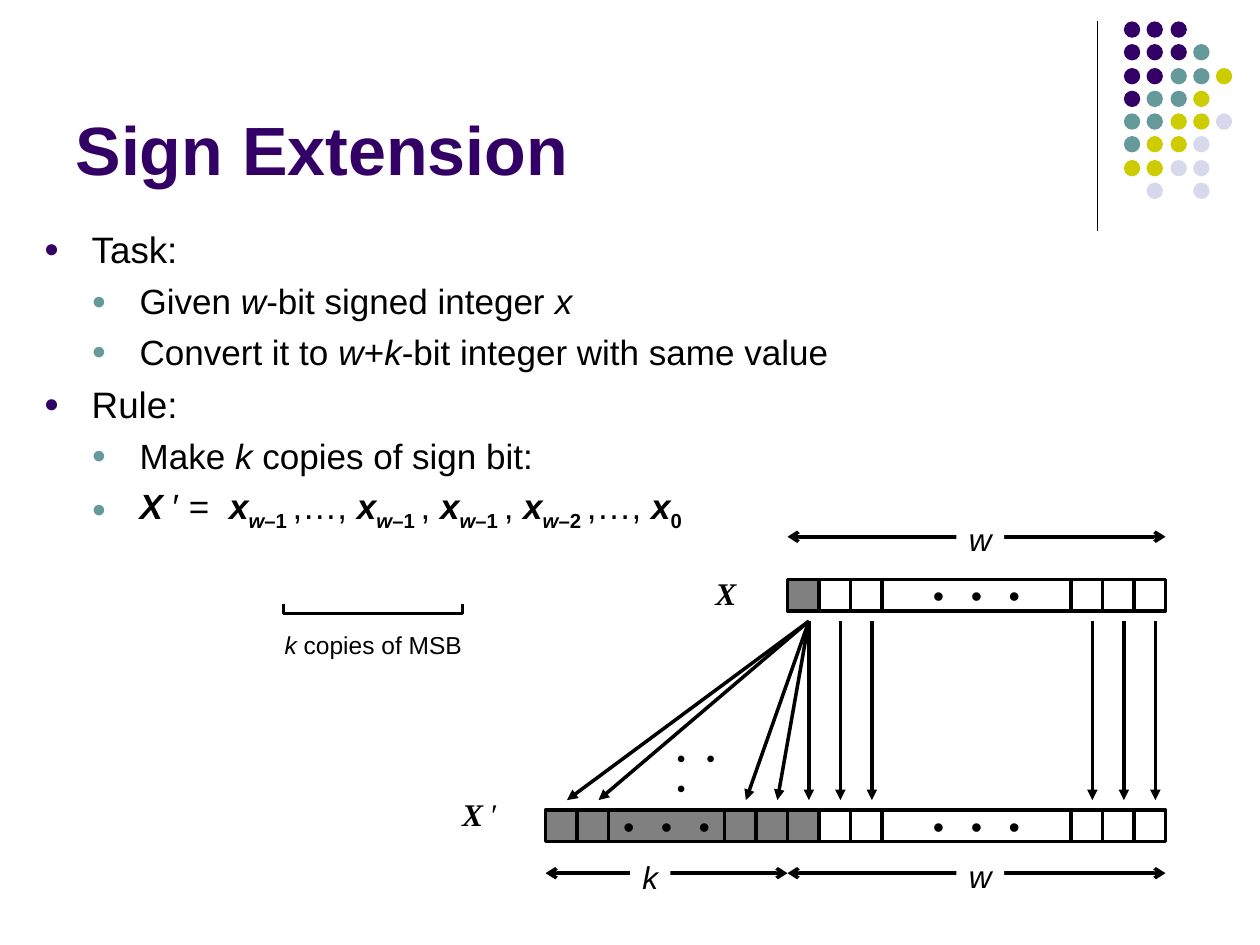
import lxml.etree
import pptx
import pptx.dml.color
import pptx.enum.shapes
import pptx.enum.text
import pptx.oxml.ns
import pptx.util

PX = 9144  # EMU in one px, 100 px to the inch

THEME = {
    "purple": "330066", "teal": "669999", "olive": "CCCC00", "lilac": "D8D8EC",
    "ink": "000000", "paper": "FFFFFF", "sign": "808080",
    "sans": "Arial", "serif": "Times New Roman", "mono": "Courier New",
    "title": 39, "level0": 21, "level1": 20, "label": 18, "note": 14,
    "rule": 0.75, "stroke": 2,
}

# Runs are (text, flags): b bold, i italic, s subscript.
TITLE = [("Sign Extension", "b")]
BULLETS = [
    (0, [("Task:", "")]),
    (1, [("Given ", ""), ("w", "i"), ("-bit signed integer ", ""), ("x", "i")]),
    (1, [("Convert it to ", ""), ("w", "i"), ("+", ""), ("k", "i"),
         ("-bit integer with same value", "")]),
    (0, [("Rule:", "")]),
    (1, [("Make ", ""), ("k", "i"), (" copies of sign bit:", "")]),
    (1, [("X ", "bi"), ("′ =  ", ""),
         ("x", "bi"), ("w", "bis"), ("–1 ", "bs"), (",…, ", ""),
         ("x", "bi"), ("w", "bis"), ("–1 ", "bs"), (", ", ""),
         ("x", "bi"), ("w", "bis"), ("–1 ", "bs"), (", ", ""),
         ("x", "bi"), ("w", "bis"), ("–2 ", "bs"), (",…, ", ""),
         ("x", "bi"), ("0", "bs")]),
]
BULLET_COLOURS = ["purple", "teal"]
BULLET_SPACING = [5.2, 5]
ELLIPSIS = [("• • •", "")]

DOT_ROWS = ["ppp", "pppt", "pptty", "ptty", "ttyyl", "tyyl", "yyll", " l l"]
DOT_COLOURS = {"p": "purple", "t": "teal", "y": "olive", "l": "lilac"}
DOT_LEFT, DOT_TOP, DOT_PITCH, DOT_SIZE = 892, 17, 18.3, 13

# Words are runs of cells: (width, fill); wide cells hold an ellipsis.
CELL = 25
W_BITS = [(CELL, "sign")] + [(CELL, "paper")] * 2 + [(150, "paper")] + [(CELL, "paper")] * 3
K_BITS = [(CELL, "sign")] * 2 + [(92, "sign")] + [(CELL, "sign")] * 2
W_LEFT, W_RIGHT, K_LEFT = 625, 925, 433
SOURCE_TOP, RESULT_TOP = 460, 643
ARROW_TOP, ARROW_BOTTOM, ARROW_INSET = 493, 635, 17

LABELS = [  # left, top, width, height, runs, font, size
    (216, 495, 161, 33, [("k", "i"), (" copies of MSB", "")], "sans", "note"),
    (558, 451, 43, 40, [("X", "bi")], "serif", "label"),
    (357, 626, 51, 40, [("X ", "bi"), ("′", "")], "serif", "label"),
    (525, 585, 78, 34, ELLIPSIS, "mono", "note"),
]
SPANS = [  # left, right, y, label left, label top, label width, letter
    (W_LEFT, W_RIGHT, 426, 759, 408, 38, "w"),
    (W_LEFT, W_RIGHT, 693, 759, 675, 38, "w"),
    (K_LEFT, W_LEFT, 693, 500, 676, 32, "k"),
]
BRACKET = [(225, 479), (225, 487), (367, 487), (367, 479)]


def emu(*lengths):
    return [round(length * PX) for length in lengths]


def colour(name):
    return pptx.dml.color.RGBColor.from_string(THEME[name])


def write(paragraph, runs, font="sans", size="label", ink="ink", align="LEFT"):
    paragraph.alignment = getattr(pptx.enum.text.PP_ALIGN, align)
    for text, flags in runs:
        run = paragraph.add_run()
        run.text = text
        run.font.name = THEME[font]
        run.font.size = pptx.util.Pt(THEME[size])
        run.font.color.rgb = colour(ink)
        run.font.bold = "b" in flags
        run.font.italic = "i" in flags
        if "s" in flags:
            run.font._element.set("baseline", "-25000")


def add_child(parent, tag, **attributes):
    child = lxml.etree.SubElement(parent, pptx.oxml.ns.qn(tag))
    for name, value in attributes.items():
        child.set(name, value)
    return child


def add_bullet(paragraph, level):
    properties = paragraph._p.get_or_add_pPr()
    indent = 38 * PX
    properties.set("marL", str(indent * (level + 1)))
    properties.set("indent", str(-indent))
    tint = add_child(properties, "a:buClr")
    add_child(tint, "a:srgbClr", val=THEME[BULLET_COLOURS[level]])
    add_child(properties, "a:buSzPct", val="70000")
    add_child(properties, "a:buFont", typeface=THEME["sans"])
    add_child(properties, "a:buChar", char="●")


def add_shape(slide, kind, box, fill, outlined=False):
    preset = getattr(pptx.enum.shapes.MSO_SHAPE, kind)
    shape = slide.shapes.add_shape(preset, *emu(*box))
    shape.shadow.inherit = False
    shape.fill.solid()
    shape.fill.fore_color.rgb = colour(fill)
    if outlined:
        shape.line.color.rgb = colour("ink")
        shape.line.width = pptx.util.Pt(THEME["stroke"])
    else:
        shape.line.fill.background()
    return shape


def add_line(slide, start, end, width="stroke", head=None, tail=None):
    line = slide.shapes.add_connector(
        pptx.enum.shapes.MSO_CONNECTOR.STRAIGHT, *emu(*start, *end))
    line.line.color.rgb = colour("ink")
    line.line.width = pptx.util.Pt(THEME[width])
    for tag, arrow in (("a:headEnd", head), ("a:tailEnd", tail)):
        if arrow:
            add_child(line.line._get_or_add_ln(), tag, type=arrow)
    add_child(line._element.spPr, "a:effectLst")


def fit_label(shape, runs, **text_format):
    frame = shape.text_frame
    frame.word_wrap = False
    frame.auto_size = pptx.enum.text.MSO_AUTO_SIZE.SHAPE_TO_FIT_TEXT
    frame.vertical_anchor = pptx.enum.text.MSO_ANCHOR.TOP
    write(frame.paragraphs[0], runs, **text_format)


def add_word(slide, left, top, cells):
    """Draw a row of bits and return the left edge of each single one."""
    bits = []
    for width, fill in cells:
        cell = add_shape(slide, "RECTANGLE", (left, top, width, CELL), fill, outlined=True)
        if width == CELL:
            bits.append(left)
        else:
            cell.text_frame.word_wrap = False
            cell.text_frame.vertical_anchor = pptx.enum.text.MSO_ANCHOR.MIDDLE
            write(cell.text_frame.paragraphs[0], ELLIPSIS, font="mono", align="CENTER")
        left += width
    return bits


def add_decoration(slide):
    add_line(slide, (871, 17), (871, 183), width="rule")
    for row, keys in enumerate(DOT_ROWS):
        for column, key in enumerate(keys):
            if key in DOT_COLOURS:
                box = (round(DOT_LEFT + column * DOT_PITCH),
                       round(DOT_TOP + row * DOT_PITCH), DOT_SIZE, DOT_SIZE)
                add_shape(slide, "OVAL", box, DOT_COLOURS[key])


def add_texts(slide):
    title = slide.shapes.title
    title.left, title.top, title.width, title.height = emu(50, 13, 825, 142)
    title.text_frame.vertical_anchor = pptx.enum.text.MSO_ANCHOR.BOTTOM
    write(title.text_frame.paragraphs[0], TITLE, size="title", ink="purple")

    frame = slide.shapes.add_textbox(*emu(25, 175, 900, 482)).text_frame
    frame.word_wrap = True
    for index, (level, runs) in enumerate(BULLETS):
        paragraph = frame.add_paragraph() if index else frame.paragraphs[0]
        paragraph.level = level
        paragraph.space_before = pptx.util.Pt(BULLET_SPACING[level])
        add_bullet(paragraph, level)
        write(paragraph, runs, size=f"level{level}")


def add_diagram(slide):
    source = add_word(slide, W_LEFT, SOURCE_TOP, W_BITS)
    result = add_word(slide, K_LEFT, RESULT_TOP, K_BITS + W_BITS)
    copies = len(result) - len(source)
    for start, end in zip([source[0]] * copies + source, result):
        add_line(slide, (start + ARROW_INSET, ARROW_TOP),
                 (end + ARROW_INSET, ARROW_BOTTOM), tail="triangle")
    for *box, runs, font, size in LABELS:
        fit_label(slide.shapes.add_textbox(*emu(*box)), runs, font=font, size=size)
    for left, right, y, label_left, label_top, width, letter in SPANS:
        add_line(slide, (left, y), (right, y), head="arrow", tail="arrow")
        label = add_shape(slide, "RECTANGLE", (label_left, label_top, width, 40), "paper")
        fit_label(label, [(letter, "i")])

    builder = slide.shapes.build_freeform(*BRACKET[0], scale=PX)
    builder.add_line_segments(BRACKET[1:], close=False)
    bracket = builder.convert_to_shape()
    bracket.shadow.inherit = False
    bracket.fill.background()
    bracket.line.color.rgb = colour("ink")
    bracket.line.width = pptx.util.Pt(THEME["stroke"])


def main():
    presentation = pptx.Presentation()
    presentation.slide_width, presentation.slide_height = emu(1000, 750)
    slide = presentation.slides.add_slide(presentation.slide_layouts[5])
    add_decoration(slide)
    add_texts(slide)
    add_diagram(slide)
    presentation.save("out.pptx")


if __name__ == "__main__":
    main()
